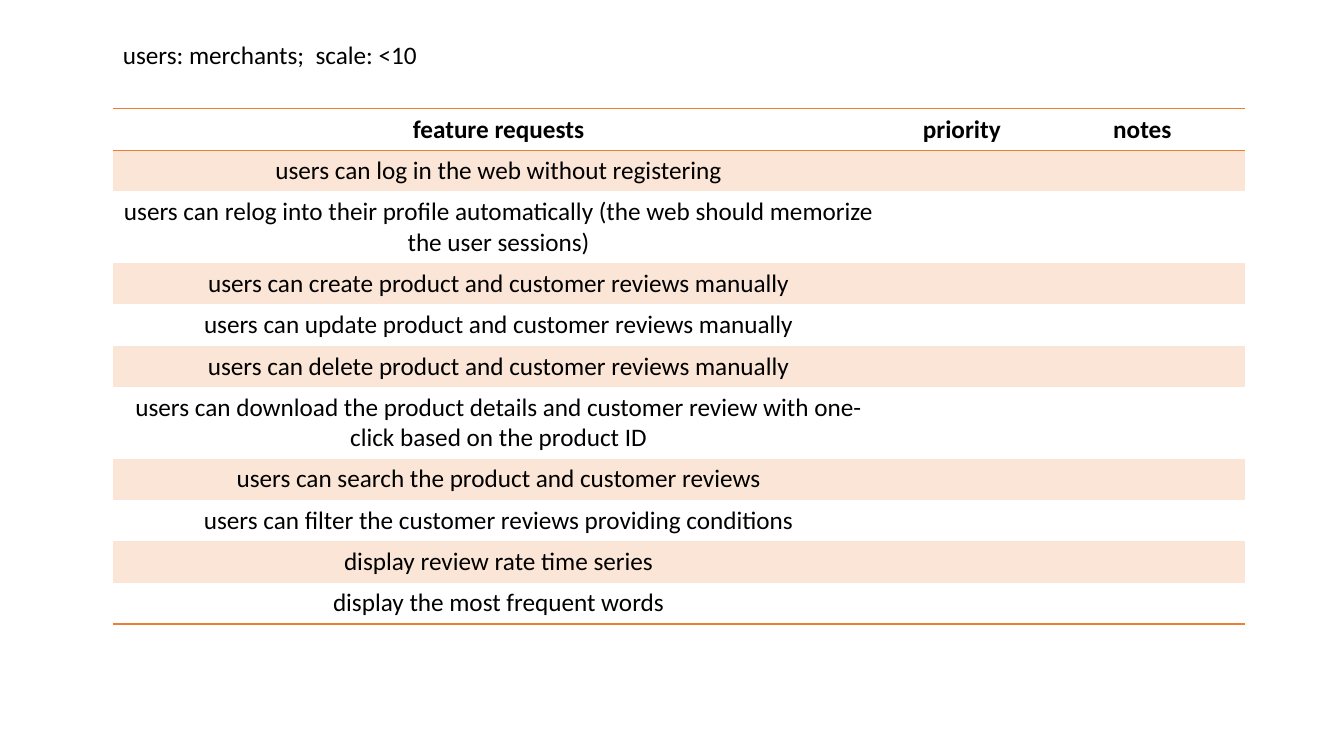
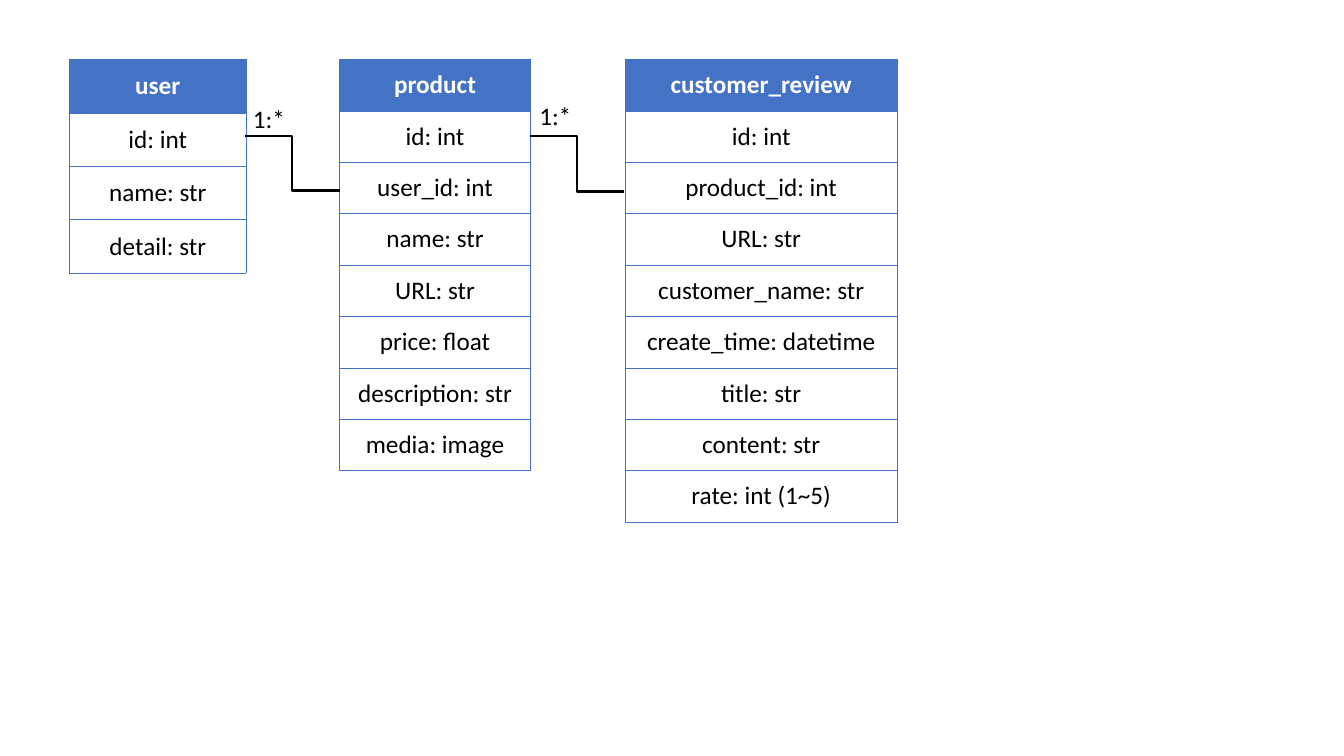
from pptx import Presentation
from pptx.dml.color import RGBColor as RGB
from pptx.enum.shapes import MSO_CONNECTOR as Link
from pptx.enum.text import MSO_ANCHOR as Anchor, MSO_AUTO_SIZE as Auto, PP_ALIGN as Align
from pptx.oxml.ns import qn
from pptx.util import Inches, Pt
from lxml.etree import SubElement as Sub

HUES = {
    "ink": "000000",
    "white": "FFFFFF",
    "blue": "4472C4",
    "orange": "ED7D31",
    "peach": "FBE5D6",
}
PLAIN = "{2D5ABB26-0587-4C30-8999-92F81FD0307C}"


def hue(name):
    return RGB.from_string(HUES[name])


def write(frame, text, color="ink", bold=False, align=Align.LEFT):
    para = frame.paragraphs[0]
    para.alignment = align
    run = para.add_run()
    run.text = text
    font = run.font
    font.name, font.size, font.bold = "Calibri", Pt(18), bold
    font.color.rgb = hue(color)


class Deck:
    """Hold the shared style and the current slide."""

    def __init__(self):
        self.file = Presentation()
        self.file.slide_width = Inches(13.33)
        self.file.slide_height = Inches(7.5)
        self.page = None

    def start(self):
        self.page = self.file.slides.add_slide(self.file.slide_layouts[6])

    def label(self, text, left, top, width):
        box = self.page.shapes.add_textbox(
            Inches(left), Inches(top), Inches(width), Inches(0.4))
        frame = box.text_frame
        frame.word_wrap = False
        frame.auto_size = Auto.SHAPE_TO_FIT_TEXT
        write(frame, text)

    def grid(self, left, top, widths, heights):
        frame = self.page.shapes.add_table(
            len(heights), len(widths), Inches(left), Inches(top),
            Inches(sum(widths)), Inches(sum(heights)))
        table = frame.table
        table._tbl.tblPr.find(qn("a:tableStyleId")).text = PLAIN
        table.horz_banding = False
        for col, width in zip(table.columns, widths):
            col.width = Inches(width)
        for row, height in zip(table.rows, heights):
            row.height = Inches(height)
        return table

    def cell(self, cell, text="", fill=None, sides="", edge="blue", width=1, **style):
        cell.vertical_anchor = Anchor.MIDDLE
        props = cell._tc.get_or_add_tcPr()
        for side in sides:
            line = Sub(props, qn("a:ln" + side), w=str(Pt(width)))
            Sub(Sub(line, qn("a:solidFill")), qn("a:srgbClr"), val=HUES[edge])
        if fill:
            cell.fill.solid()
            cell.fill.fore_color.rgb = hue(fill)
        else:
            cell.fill.background()
        if text:
            write(cell.text_frame, text, align=Align.CENTER, **style)

    def wishes(self, left, top, widths, heads, items):
        rows = [heads] + [[item, "", ""] for item in items]
        heights = [0.71 if len(row[0]) > 70 else 0.41 for row in rows]
        table = self.grid(left, top, widths, heights)
        last = len(rows) - 1
        for i, row in enumerate(rows):
            sides = {0: "TB", last: "B"}.get(i, "")
            for j, text in enumerate(row):
                self.cell(table.cell(i, j), text, fill="peach" if i % 2 else None,
                          sides=sides, edge="orange", bold=i == 0)

    def entity(self, left, width, height, name, fields):
        rows = [name] + fields
        table = self.grid(left, 0.59, [width], [height] * len(rows))
        for i, text in enumerate(rows):
            head = i == 0
            self.cell(table.cell(i, 0), text, fill="blue" if head else None,
                      sides="LRTB", width=0.5, bold=head,
                      color="white" if head else "ink")

    def link(self, x1, y1, x2, y2):
        line = self.page.shapes.add_connector(
            Link.ELBOW, Inches(x1), Inches(y1), Inches(x2), Inches(y2))
        line.line.color.rgb = hue("ink")
        line.line.width = Pt(1.5)
        Sub(line._element.spPr, qn("a:effectLst"))


deck = Deck()

deck.start()
deck.wishes(1.12, 1.08, [7.65, 1.54, 2.04], ["feature requests", "priority", "notes"], [
    "users can log in the web without registering",
    "users can relog into their profile automatically "
    "(the web should memorize the user sessions)",
    "users can create product and customer reviews manually",
    "users can update product and customer reviews manually",
    "users can delete product and customer reviews manually",
    "users can download the product details and customer review "
    "with one-click based on the product ID",
    "users can search the product and customer reviews",
    "users can filter the customer reviews providing conditions",
    "display review rate time series",
    "display the most frequent words",
])
deck.label("users: merchants;  scale: <10", 1.12, 0.34, 3.15)

deck.start()
deck.entity(0.69, 1.75, 0.53, "user", ["id: int", "name: str", "detail: str"])
deck.entity(3.37, 1.89, 0.51, "product", [
    "id: int", "user_id: int", "name: str", "URL: str", "price: float",
    "description: str", "media: image",
])
deck.entity(6.2, 2.7, 0.51, "customer_review", [
    "id: int", "product_id: int", "URL: str", "customer_name: str",
    "create_time: datetime", "title: str", "content: str", "rate: int (1~5)",
])
deck.link(3.37, 1.89, 2.43, 1.35)
deck.label("1:*", 2.41, 0.98, 0.52)
deck.link(6.19, 1.9, 5.26, 1.35)
deck.label("1:*", 5.25, 0.95, 0.52)

deck.file.save("out.pptx")
